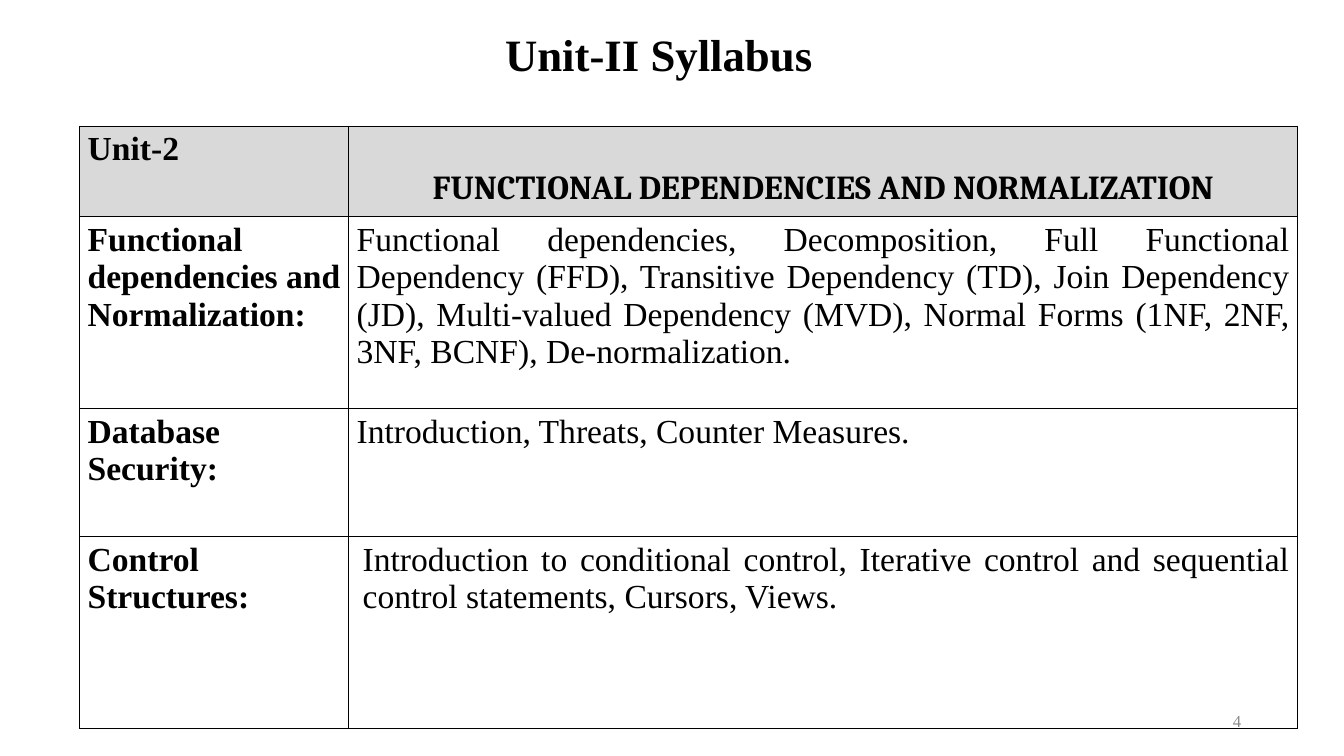
import pptx
import pptx.util
import pptx.dml.color
import pptx.enum.text
import pptx.oxml
import pptx.oxml.ns

Inches = pptx.util.Inches
Pt = pptx.util.Pt
Align = pptx.enum.text.PP_ALIGN
Anchor = pptx.enum.text.MSO_ANCHOR

COLORS = {"ink": "000000", "muted": "898989", "header": "D9D9D9"}
SERIF = "Times New Roman"
BORDER_WIDTH = Pt(0.45)
COLUMN_WIDTHS = [2.67, 9.42]
ROW_HEIGHTS = [0.8, 1.9, 1.27, 1.9]
SYLLABUS = [
    ("Unit-2", "FUNCTIONAL DEPENDENCIES AND NORMALIZATION"),
    ("Functional dependencies and Normalization:",
     "Functional dependencies, Decomposition, Full Functional Dependency (FFD), "
     "Transitive Dependency (TD), Join Dependency (JD), Multi-valued Dependency (MVD), "
     "Normal Forms (1NF, 2NF, 3NF, BCNF), De-normalization."),
    ("Database Security:", "Introduction, Threats, Counter Measures."),
    ("Control Structures:",
     "Introduction to conditional control, Iterative control and sequential control "
     "statements, Cursors, Views."),
]


def write(frame, text, size, align, bold=False, font=SERIF, color="ink"):
    frame.text = text
    para = frame.paragraphs[0]
    para.alignment = align
    for span in para.runs:
        span.font.name = font
        span.font.size = Pt(size)
        span.font.bold = bold
        span.font.color.rgb = pptx.dml.color.RGBColor.from_string(COLORS[color])
    return para


def add_label(page, box, text, size, align, **style):
    frame = page.shapes.add_textbox(*map(Inches, box)).text_frame
    frame.word_wrap = True
    frame.vertical_anchor = Anchor.MIDDLE
    return write(frame, text, size, align, **style)


def style_cell(cell, is_header):
    cell.margin_left = cell.margin_right = Inches(0.08)
    cell.margin_top = cell.margin_bottom = Inches(0.05)
    if is_header:
        cell.fill.solid()
        cell.fill.fore_color.rgb = pptx.dml.color.RGBColor.from_string(COLORS["header"])
    else:
        cell.fill.background()
    properties = cell._tc.get_or_add_tcPr()
    for index, side in enumerate(["lnL", "lnR", "lnT", "lnB"]):
        border = pptx.oxml.parse_xml(
            f'<a:{side} {pptx.oxml.ns.nsdecls("a")} w="{BORDER_WIDTH}">'
            f'<a:solidFill><a:srgbClr val="{COLORS["ink"]}"/></a:solidFill></a:{side}>')
        properties.insert(index, border)


def add_syllabus(page, left, top):
    table = page.shapes.add_table(
        len(SYLLABUS), len(COLUMN_WIDTHS), Inches(left), Inches(top),
        Inches(sum(COLUMN_WIDTHS)), Inches(sum(ROW_HEIGHTS))).table
    for column, width in zip(table.columns, COLUMN_WIDTHS):
        column.width = Inches(width)
    for row, height in zip(table.rows, ROW_HEIGHTS):
        row.height = Inches(height)
    for index, (topic, details) in enumerate(SYLLABUS):
        is_header = index == 0
        topic_cell, details_cell = table.cell(index, 0), table.cell(index, 1)
        style_cell(topic_cell, is_header)
        style_cell(details_cell, is_header)
        write(topic_cell.text_frame, topic, 24, Align.LEFT, bold=True)
        if is_header:
            para = write(details_cell.text_frame, details, 24, Align.CENTER,
                         bold=True, font="Cambria")
            para.line_spacing = 2.0
        else:
            write(details_cell.text_frame, details, 24, Align.JUSTIFY)
    last_para = table.cell(len(SYLLABUS) - 1, 1).text_frame.paragraphs[0]
    last_para._p.get_or_add_pPr().set("marL", str(Inches(0.06)))


def build_syllabus_page(deck):
    page = deck.slides.add_slide(deck.slide_layouts[6])
    title = add_label(page, (0.79, 0.1, 11.5, 0.94), "Unit-II Syllabus", 32,
                      Align.CENTER, bold=True)
    title.line_spacing = 0.9
    add_label(page, (9.42, 6.95, 3, 0.4), "4", 12, Align.RIGHT, color="muted")
    add_syllabus(page, 0.79, 1.25)


def main():
    deck = pptx.Presentation()
    deck.slide_width = Inches(13.34)
    deck.slide_height = Inches(7.5)
    build_syllabus_page(deck)
    deck.save("out.pptx")


if __name__ == "__main__":
    main()
